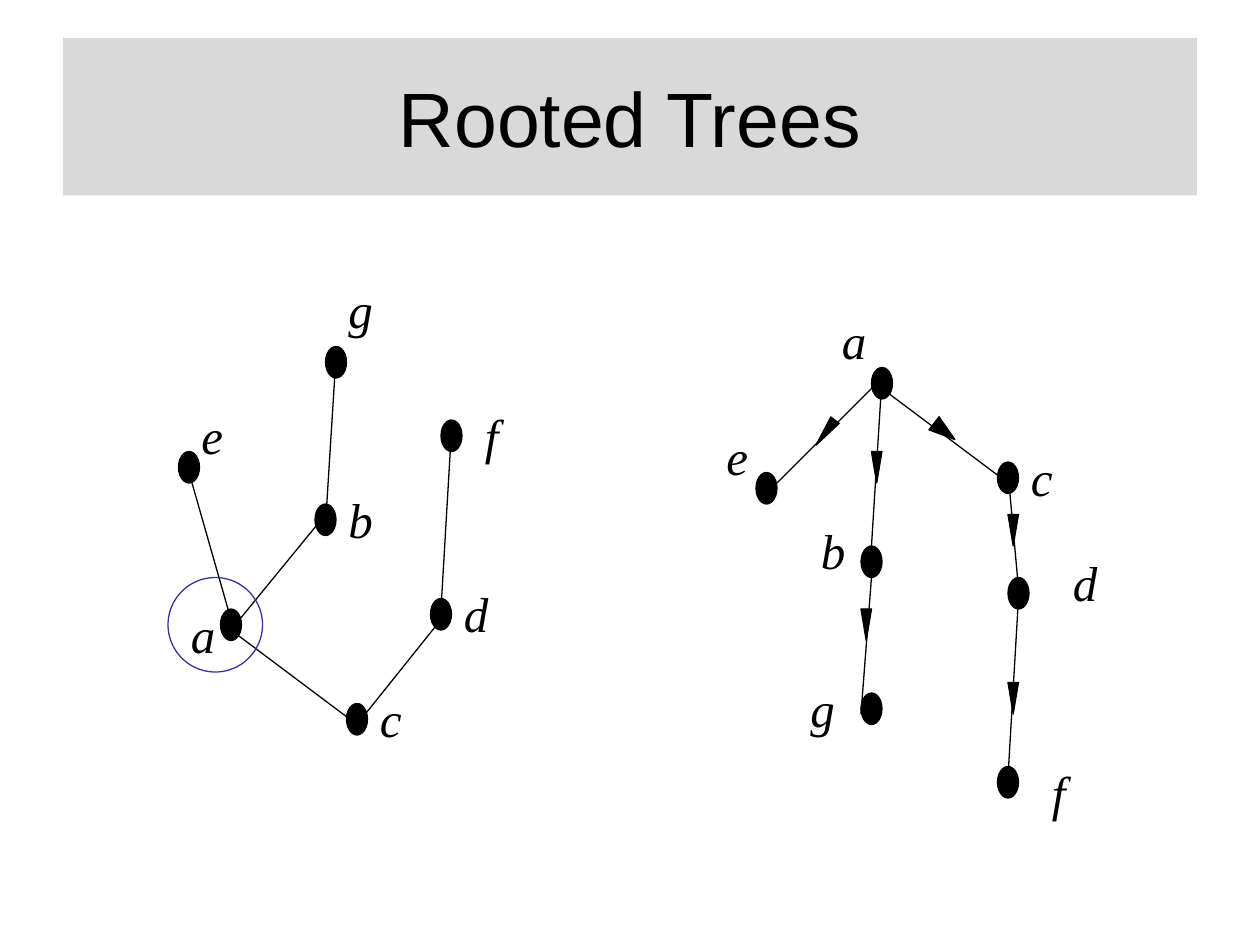
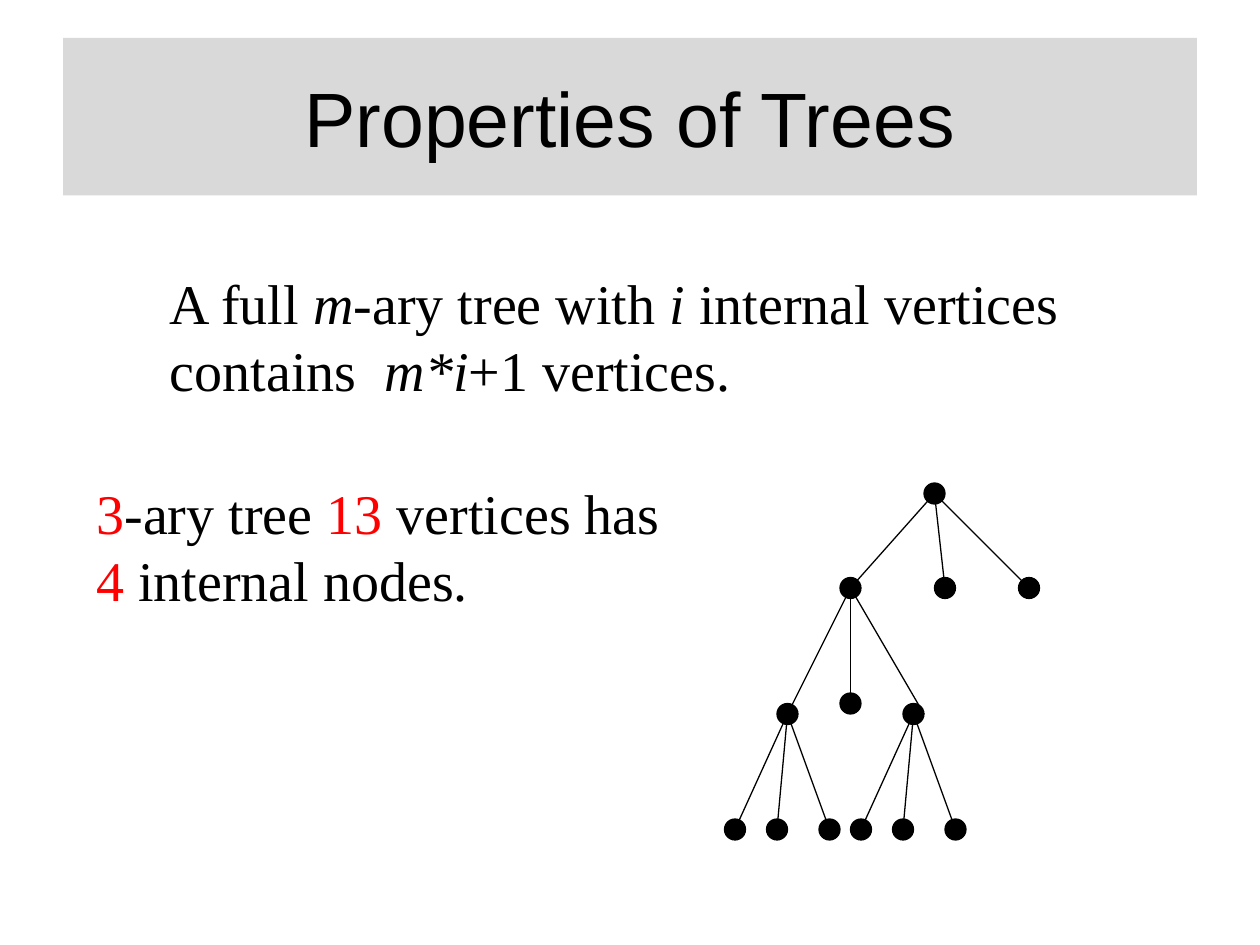
from dataclasses import dataclass
from typing import Any, NamedTuple

from lxml.etree import SubElement as add_sub
from pptx import Presentation as Deck
from pptx.dml.color import RGBColor as Color
from pptx.enum.shapes import MSO_CONNECTOR as Link, MSO_SHAPE as Form
from pptx.enum.text import MSO_ANCHOR as Anchor, MSO_AUTO_SIZE as Fit, PP_ALIGN as Align
from pptx.oxml.ns import qn
from pptx.util import Pt


@dataclass(frozen=True)
class Theme:
    black: Color = Color(0, 0, 0)
    red: Color = Color(0xFF, 0, 0)
    blue: Color = Color(0x33, 0x33, 0x99)
    band: Color = Color(0xD9, 0xD9, 0xD9)
    sans: str = "Arial"
    serif: str = "Times New Roman"
    title: Pt = Pt(44)
    body: Pt = Pt(32)
    label: Pt = Pt(28)
    line: Pt = Pt(0.75)


class Spot(NamedTuple):
    x: float
    y: float


class Node(NamedTuple):
    name: str
    dot: Spot
    label: Spot


class Edge(NamedTuple):
    start: Spot
    end: Spot


class Head(NamedTuple):
    spot: Spot
    wide: float = 6
    high: float = 18
    turn: float = 0


class Tree(NamedTuple):
    nodes: list[Node]
    edges: list[Edge]
    heads: list[Head]


class Fan(NamedTuple):
    top: Spot
    dots: list[Spot]
    tips: list[Spot]


class Run(NamedTuple):
    text: str
    style: dict[str, Any]
    tint: Color


class Note(NamedTuple):
    box: tuple[float, float, float, float]
    runs: list[Run]


LOOK = Theme()
OVAL = (12, 18)
DISC = 12
LABEL = (28, 41)


def apply(target: Any, style: dict[str, Any]) -> None:
    for key, value in style.items():
        setattr(target, key, value)


def set_font(font: Any, size: Pt, name: str, tint: Color, **style: Any) -> None:
    apply(font, {"size": size, "name": name, **style})
    font.color.rgb = tint


def draw_form(pane: Any, form: Form, spot: Spot, wide: float, high: float,
              fill: Color | None = LOOK.black, line: Color = LOOK.black) -> Any:
    shape = pane.add_shape(form, Pt(spot.x), Pt(spot.y), Pt(wide), Pt(high))
    shape.shadow.inherit = False
    if fill is None:
        shape.fill.background()
    else:
        shape.fill.solid()
        shape.fill.fore_color.rgb = fill
    shape.line.color.rgb = line
    shape.line.width = LOOK.line
    return shape


def draw_edge(pane: Any, edge: Edge) -> None:
    line = pane.add_connector(Link.STRAIGHT, *(Pt(n) for spot in edge for n in spot))
    line.line.color.rgb = LOOK.black
    line.line.width = LOOK.line
    add_sub(line._element.spPr, qn("a:effectLst"))


def draw_head(pane: Any, head: Head) -> None:
    shape = draw_form(pane, Form.ISOSCELES_TRIANGLE, head.spot, head.wide, head.high)
    shape.rotation = head.turn
    shape._element.spPr.find(qn("a:xfrm")).set("flipV", "1")


def draw_label(pane: Any, node: Node) -> None:
    box = pane.add_textbox(*map(Pt, node.label + LABEL))
    apply(box.text_frame, {"word_wrap": False, "auto_size": Fit.SHAPE_TO_FIT_TEXT})
    run = box.text_frame.paragraphs[0].add_run()
    run.text = node.name
    set_font(run.font, LOOK.label, LOOK.serif, LOOK.black, italic=True)


def draw_tree(pane: Any, tree: Tree) -> None:
    for node in tree.nodes:
        draw_form(pane, Form.OVAL, node.dot, *OVAL)
        draw_label(pane, node)
    for edge in tree.edges:
        draw_edge(pane, edge)
    for head in tree.heads:
        draw_head(pane, head)


def draw_disc(pane: Any, mid: Spot) -> None:
    draw_form(pane, Form.OVAL, Spot(mid.x - DISC / 2, mid.y - DISC / 2), DISC, DISC)


def draw_fan(pane: Any, fan: Fan) -> None:
    for dot, tip in zip(fan.dots, fan.tips):
        draw_disc(pane, dot)
        draw_edge(pane, Edge(fan.top, tip))


def draw_note(pane: Any, note: Note) -> None:
    box = pane.add_textbox(*map(Pt, note.box))
    apply(box.text_frame, {"word_wrap": True, "auto_size": Fit.SHAPE_TO_FIT_TEXT})
    para = box.text_frame.paragraphs[0]
    for part in note.runs:
        run = para.add_run()
        run.text = part.text
        set_font(run.font, LOOK.body, LOOK.serif, part.tint, **part.style)


def add_slide(deck: Any, text: str) -> Any:
    slide = deck.slides.add_slide(deck.slide_layouts[5])
    title = slide.shapes.title
    apply(title, {"left": Pt(36), "top": Pt(21.6), "width": Pt(648), "height": Pt(90)})
    title.fill.solid()
    title.fill.fore_color.rgb = LOOK.band
    title.text_frame.text = text
    title.text_frame.vertical_anchor = Anchor.MIDDLE
    para = title.text_frame.paragraphs[0]
    para.alignment = Align.CENTER
    set_font(para.runs[0].font, LOOK.title, LOOK.sans, LOOK.black)
    return slide


def row(y: float, *xs: float) -> list[Spot]:
    return [Spot(x, y) for x in xs]


def plain(text: str) -> Run:
    return Run(text, {}, LOOK.black)


def slant(text: str) -> Run:
    return Run(text, {"italic": True}, LOOK.black)


def red(text: str) -> Run:
    return Run(text, {}, LOOK.red)


FREE = Tree(
    nodes=[
        Node("a", Spot(126, 348), Spot(102, 342)),
        Node("b", Spot(180, 288), Spot(192, 276)),
        Node("c", Spot(198, 402), Spot(210, 390)),
        Node("d", Spot(246, 342), Spot(258, 330)),
        Node("e", Spot(102, 258), Spot(108, 228)),
        Node("f", Spot(252, 240), Spot(270, 228)),
        Node("g", Spot(186, 198), Spot(192, 156)),
    ],
    edges=[
        Edge(Spot(108, 270), Spot(132, 354)),
        Edge(Spot(132, 360), Spot(186, 294)),
        Edge(Spot(132, 360), Spot(204, 414)),
        Edge(Spot(204, 414), Spot(252, 354)),
        Edge(Spot(252, 348), Spot(258, 246)),
        Edge(Spot(186, 300), Spot(192, 204)),
    ],
    heads=[],
)

ROOTED = Tree(
    nodes=[
        Node("a", Spot(498, 210), Spot(474, 174)),
        Node("b", Spot(492, 312), Spot(462, 294)),
        Node("c", Spot(570, 264), Spot(582, 252)),
        Node("d", Spot(576, 330), Spot(606, 312)),
        Node("e", Spot(432, 270), Spot(408, 240)),
        Node("f", Spot(570, 438), Spot(594, 432)),
        Node("g", Spot(492, 396), Spot(456, 384)),
    ],
    edges=[
        Edge(Spot(444, 276), Spot(504, 216)),
        Edge(Spot(492, 408), Spot(498, 330)),
        Edge(Spot(504, 222), Spot(576, 276)),
        Edge(Spot(576, 444), Spot(582, 342)),
        Edge(Spot(498, 312), Spot(504, 216)),
        Edge(Spot(576, 270), Spot(582, 336)),
    ],
    heads=[
        Head(Spot(498, 258)),
        Head(Spot(492, 348)),
        Head(Spot(576, 294)),
        Head(Spot(576, 390)),
        Head(Spot(468.7, 238.3), turn=37.2),
        Head(Spot(535, 239), 9.4, 15.1, 307.8),
    ],
)

ROOT = Spot(534, 282)
SECOND = row(336, 486, 540, 588)
THIRD = [Spot(450, 408), Spot(486, 402), Spot(522, 408)]
LEAVES = [row(474, 420, 444, 474), row(474, 492, 516, 546)]
FANS = [
    Fan(ROOT, SECOND, SECOND),
    Fan(SECOND[0], THIRD, row(408, 450, 486, 528)),
    *(Fan(top, dots, dots) for top, dots in zip(THIRD[::2], LEAVES)),
]

NOTES = [
    Note((90, 150, 588, 84), [
        plain("A full "), slant("m"), plain("-ary tree with "), slant("i"),
        plain(" internal vertices contains "), slant(" m*i"), plain("+1 vertices."),
    ]),
    Note((48, 270, 348, 85), [
        red("3"), plain("-ary tree "), red("13 "), plain("vertices has "),
        red("4"), plain(" internal nodes."),
    ]),
]


def main() -> None:
    deck = Deck()
    apply(deck, {"slide_width": Pt(720), "slide_height": Pt(540)})

    slide = add_slide(deck, "Rooted Trees")
    draw_tree(slide.shapes, FREE)
    draw_form(slide.shapes, Form.OVAL, Spot(96, 330), 54, 54, None, LOOK.blue)
    draw_tree(slide.shapes.add_group_shape().shapes, ROOTED)

    slide = add_slide(deck, "Properties of Trees")
    for note in NOTES:
        draw_note(slide.shapes, note)
    pane = slide.shapes.add_group_shape().shapes
    draw_disc(pane, ROOT)
    for fan in FANS:
        draw_fan(pane, fan)

    deck.save("out.pptx")


if __name__ == "__main__":
    main()
